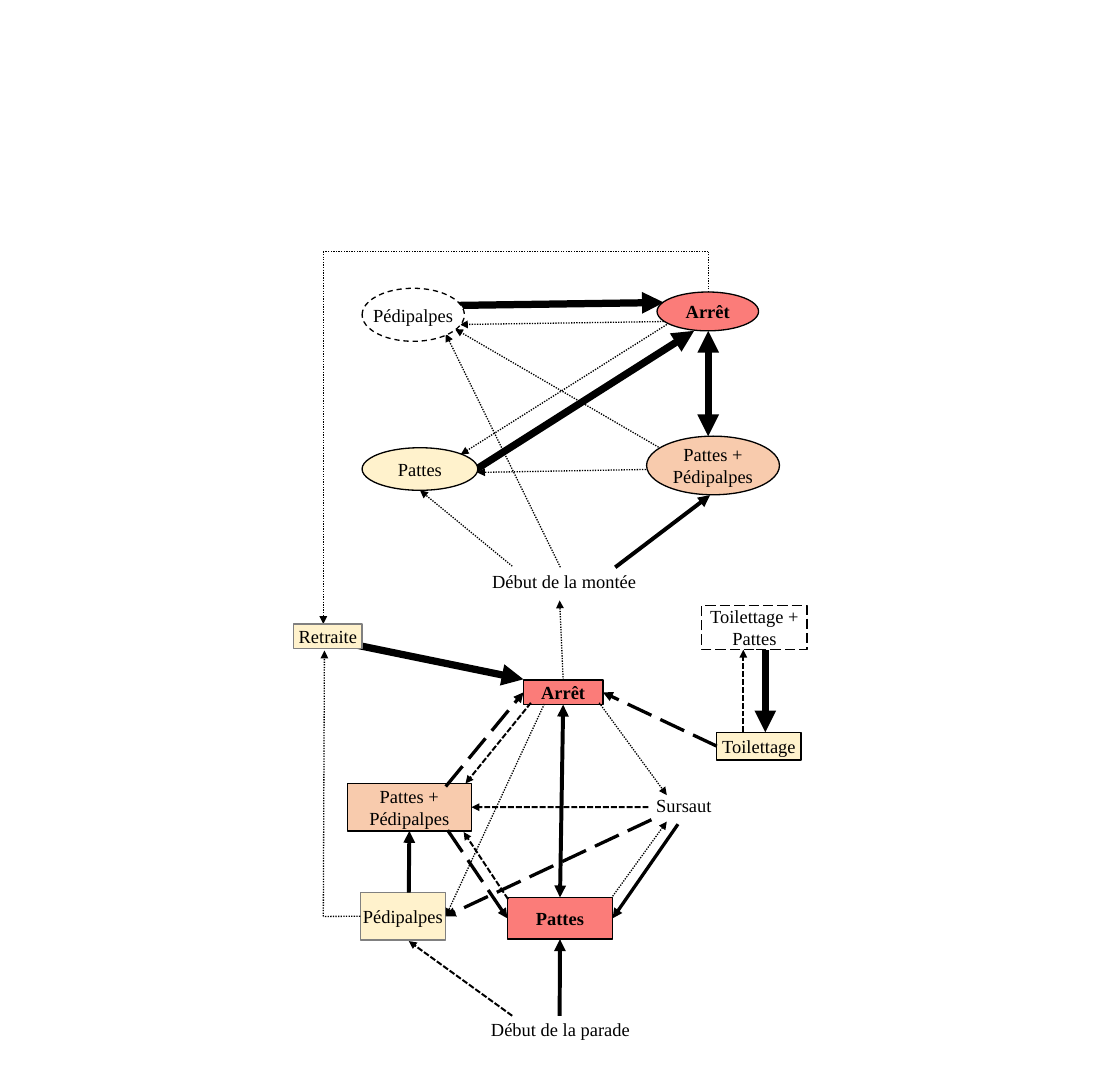
from lxml.etree import SubElement
from pptx import Presentation
from pptx.dml.color import RGBColor
from pptx.enum.dml import MSO_LINE
from pptx.enum.shapes import MSO_CONNECTOR, MSO_SHAPE
from pptx.enum.text import MSO_ANCHOR, PP_ALIGN
from pptx.oxml.ns import qn
from pptx.util import Cm, Pt

BLACK = RGBColor(0x00, 0x00, 0x00)
GREY = RGBColor(0x80, 0x80, 0x80)
WHITE = RGBColor(0xFF, 0xFF, 0xFF)
CREAM = RGBColor(0xFF, 0xF2, 0xCC)
PEACH = RGBColor(0xF8, 0xCB, 0xAD)
RED = RGBColor(0xFB, 0x7C, 0x79)

# Line styles: weight in points, dash
DOTTED = (1, MSO_LINE.ROUND_DOT)
DASHED = (1.5, MSO_LINE.SQUARE_DOT)
LONG_DASHED = (2.5, MSO_LINE.LONG_DASH)
MEDIUM = (2.5, None)
STRONG = (3, None)
THICK = (5.5, None)

# Arrowheads of a connector
NO_HEAD = ()
FORWARD = ("tailEnd",)
BOTH = ("headEnd", "tailEnd")

# Sides of a rectangle
TOP, LEFT, BOTTOM, RIGHT = range(4)

# Text, left, top, width, height (cm), fill, outline, dash
CLIMB_STATES = [
    ("Pattes +\nPédipalpes", 17.32, 11.68, 3.56, 1.57, PEACH, BLACK, None),
    ("Pattes", 9.7, 11.99, 3.1, 1.14, CREAM, BLACK, None),
    ("Arrêt", 17.6, 7.82, 2.72, 1.04, RED, BLACK, None),
    ("Pédipalpes", 9.7, 7.72, 2.74, 1.42, WHITE, BLACK, MSO_LINE.DASH),
]
COURTSHIP_STATES = [
    ("Retraite", 7.87, 16.71, 1.83, 0.66, CREAM, GREY, None),
    ("Arrêt", 14.02, 18.21, 2.13, 0.66, RED, BLACK, None),
    ("Pattes +\nPédipalpes", 9.3, 20.98, 3.33, 1.27, PEACH, BLACK, None),
    ("Pédipalpes", 9.65, 23.9, 2.29, 1.27, CREAM, GREY, None),
    ("Pattes", 13.59, 24.03, 2.82, 1.12, RED, BLACK, None),
    ("Toilettage", 19.2, 19.61, 2.26, 0.74, CREAM, BLACK, None),
    ("Toilettage +\nPattes", 18.8, 16.21, 2.82, 1.19, WHITE, BLACK, MSO_LINE.LONG_DASH),
]
# Text, left, top, width (cm)
LABELS = [
    ("Début de la montée", 11.94, 15.14, 6.35),
    ("Début de la parade", 11.84, 27.15, 6.35),
    ("Sursaut", 15.27, 21.13, 6.1),
]

# Start, end, style, arrowheads; a point is (x, y) in cm or (state, side)
CLIMB_LINKS = [
    ((17.37, 12.57), (12.78, 12.65), DOTTED, FORWARD),
    ((17.7, 12.01), (12.19, 8.81), DOTTED, FORWARD),
    ((12.75, 12.57), (18.59, 8.86), THICK, FORWARD),
    ((17.78, 8.61), (12.32, 8.69), DOTTED, FORWARD),
    ((12.14, 8.18), (17.78, 8.1), THICK, FORWARD),
    ((17.86, 8.69), (12.34, 12.17), DOTTED, FORWARD),
    ((18.97, 8.86), (18.97, 11.68), THICK, BOTH),
    ((16.48, 15.19), (19.02, 13.26), STRONG, FORWARD),
    ((13.72, 15.16), (11.25, 13.13), DOTTED, FORWARD),
    ((15.01, 15.19), (11.94, 8.94), DOTTED, FORWARD),
    # Way back from the climb
    ((18.97, 7.82), (18.97, 6.73), DOTTED, NO_HEAD),
    ((18.97, 6.73), (8.66, 6.73), DOTTED, NO_HEAD),
    ((8.66, 6.73), (8.66, 16.71), DOTTED, FORWARD),
    ((7.92, 16.94), (14.02, 18.19), THICK, FORWARD),
]
COURTSHIP_LINKS = [
    (("Pédipalpes", LEFT), (8.66, 24.54), DOTTED, NO_HEAD),
    ((8.66, 24.54), (8.69, 17.42), DOTTED, FORWARD),
    ((13.61, 24.08), (12.42, 22.28), DASHED, FORWARD),
    ((11.99, 22.23), ("Pattes", LEFT), LONG_DASHED, FORWARD),
    ((11.94, 21.06), ("Arrêt", LEFT), LONG_DASHED, FORWARD),
    ((14.22, 18.82), (12.47, 20.98), DASHED, FORWARD),
    ((16.05, 18.82), (17.86, 21.29), DOTTED, FORWARD),
    ((16.41, 24), (17.86, 22), DOTTED, FORWARD),
    ((18.16, 22.07), ("Pattes", RIGHT), MEDIUM, FORWARD),
    (("Arrêt", TOP), (14.99, 16.08), DOTTED, FORWARD),
    ((14.58, 18.85), ("Pédipalpes", RIGHT), DOTTED, FORWARD),
    ((13.72, 27.2), (10.95, 25.2), DASHED, FORWARD),
    (("Toilettage", LEFT), ("Arrêt", RIGHT), LONG_DASHED, FORWARD),
    ((17.45, 21.95), ("Pédipalpes", RIGHT), LONG_DASHED, FORWARD),
    ((17.37, 21.61), ("Pattes +\nPédipalpes", RIGHT), DASHED, FORWARD),
    ((14.99, 27.2), ("Pattes", BOTTOM), STRONG, FORWARD),
    ((10.95, 23.9), ("Pattes +\nPédipalpes", BOTTOM), STRONG, FORWARD),
    (("Arrêt", BOTTOM), ("Pattes", TOP), STRONG, BOTH),
    ((20.5, 17.4), (20.5, 19.61), THICK, FORWARD),
    ((19.91, 19.61), (19.91, 17.4), DASHED, FORWARD),
]


def write_text(box, text, bold=False):
    box.text_frame.text = text
    for para in box.text_frame.paragraphs:
        para.alignment = PP_ALIGN.CENTER
        para.font.name = "Times New Roman"
        para.font.size = Pt(14)
        para.font.bold = bold
        para.font.color.rgb = BLACK


def add_state(page, kind, state):
    text, left, top, width, height, fill, outline, dash = state
    box = page.shapes.add_shape(kind, Cm(left), Cm(top), Cm(width), Cm(height))
    box.shadow.inherit = False
    box.fill.solid()
    box.fill.fore_color.rgb = fill
    box.line.color.rgb = outline
    box.line.width = Pt(1)
    box.line.dash_style = dash
    frame = box.text_frame
    frame.word_wrap = False
    frame.vertical_anchor = MSO_ANCHOR.MIDDLE
    frame.margin_left = frame.margin_right = frame.margin_top = frame.margin_bottom = 0
    write_text(box, text, bold=fill == RED)
    return box


def add_label(page, text, left, top, width):
    box = page.shapes.add_textbox(Cm(left), Cm(top), Cm(width), Cm(0.86))
    box.text_frame.word_wrap = True
    write_text(box, text)


def add_link(page, boxes, start, end, style, heads):
    weight, dash = style
    points = [Cm(0) if point[0] in boxes else Cm(value)
              for point in (start, end) for value in point]
    link = page.shapes.add_connector(MSO_CONNECTOR.STRAIGHT, *points)
    for point, connect in ((start, link.begin_connect), (end, link.end_connect)):
        if point[0] in boxes:
            connect(boxes[point[0]], point[1])
    link.line.color.rgb = BLACK
    link.line.width = Pt(weight)
    link.line.dash_style = dash
    outline = link.line._get_or_add_ln()
    for head in heads:
        SubElement(outline, qn(f"a:{head}"), type="triangle")
    SubElement(link._element.spPr, qn("a:effectLst"))


def main():
    deck = Presentation()
    deck.slide_width, deck.slide_height = Cm(30), Cm(29)
    page = deck.slides.add_slide(deck.slide_layouts[6])

    # Climb: links run behind the ellipses
    for link in CLIMB_LINKS:
        add_link(page, {}, *link)
    for state in CLIMB_STATES:
        add_state(page, MSO_SHAPE.OVAL, state)

    # Courtship: links join the rectangles
    boxes = {state[0]: add_state(page, MSO_SHAPE.RECTANGLE, state)
             for state in COURTSHIP_STATES}
    for link in COURTSHIP_LINKS:
        add_link(page, boxes, *link)

    # Free labels
    for label in LABELS:
        add_label(page, *label)

    deck.save("out.pptx")


if __name__ == "__main__":
    main()
